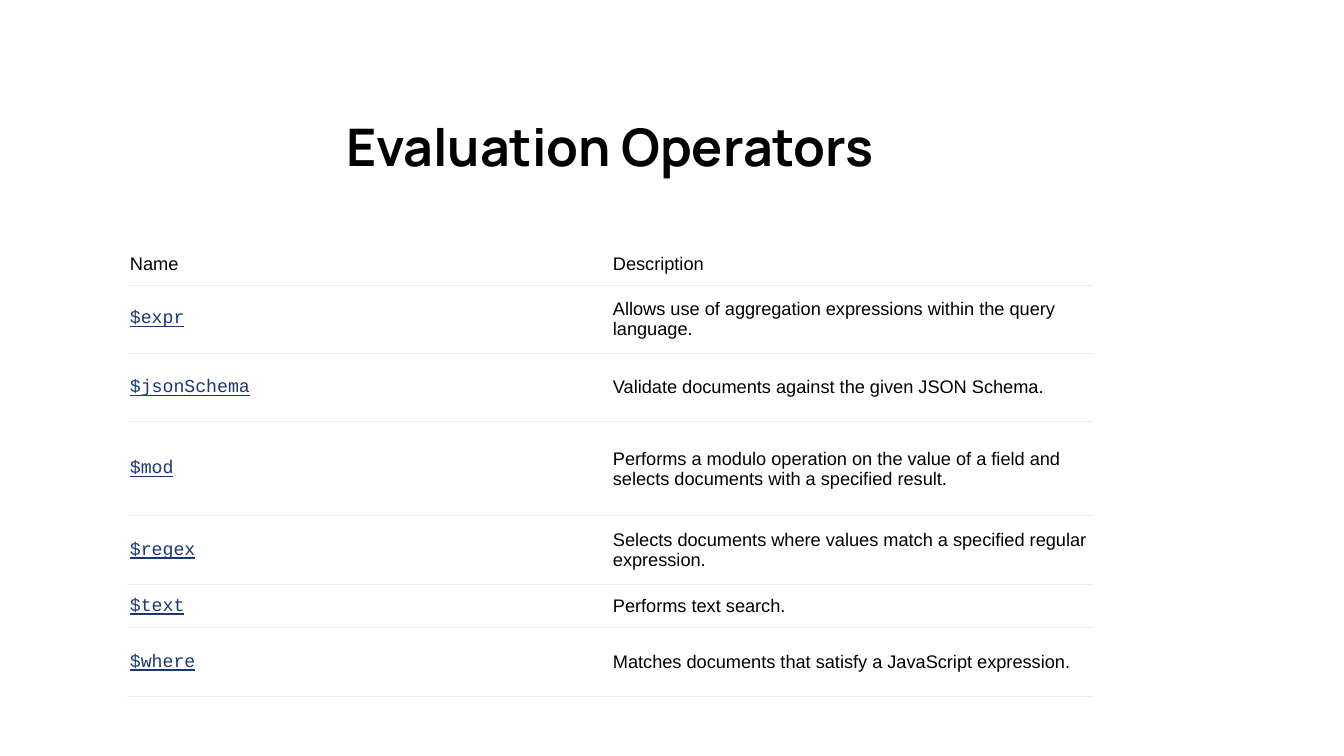
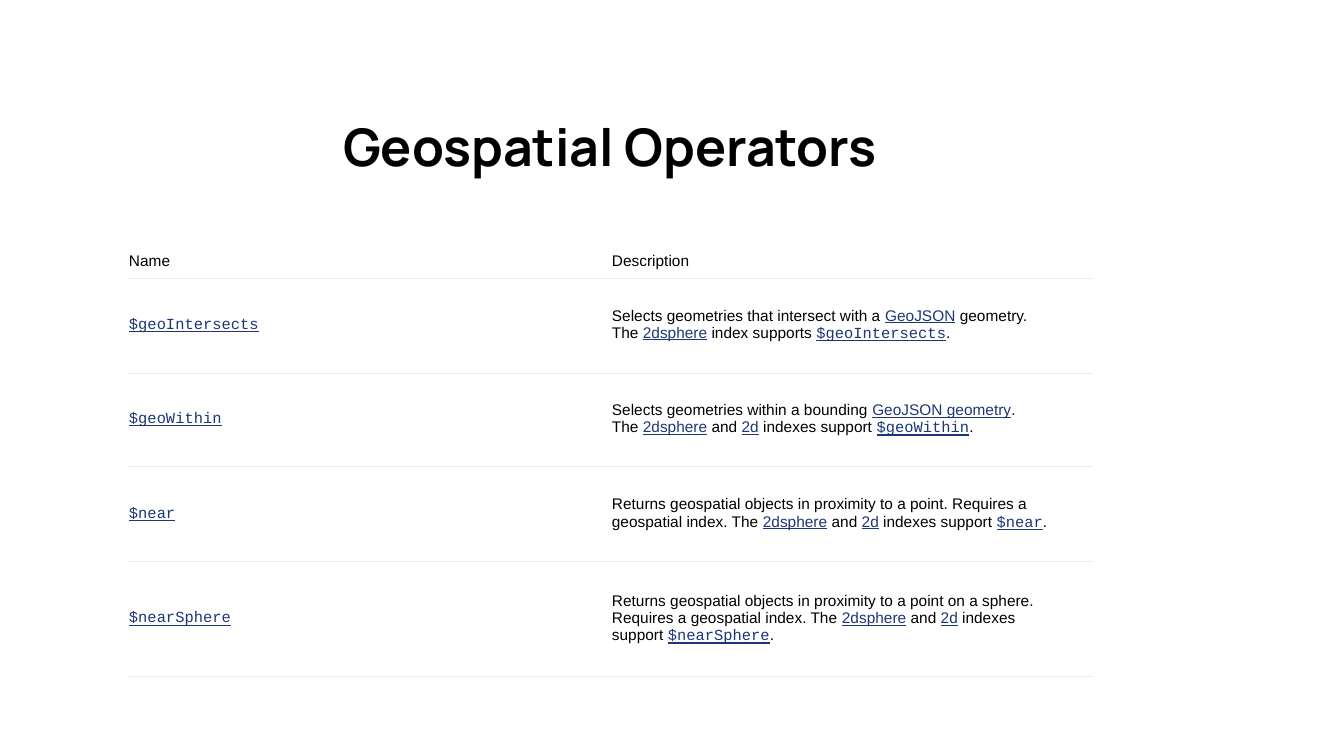
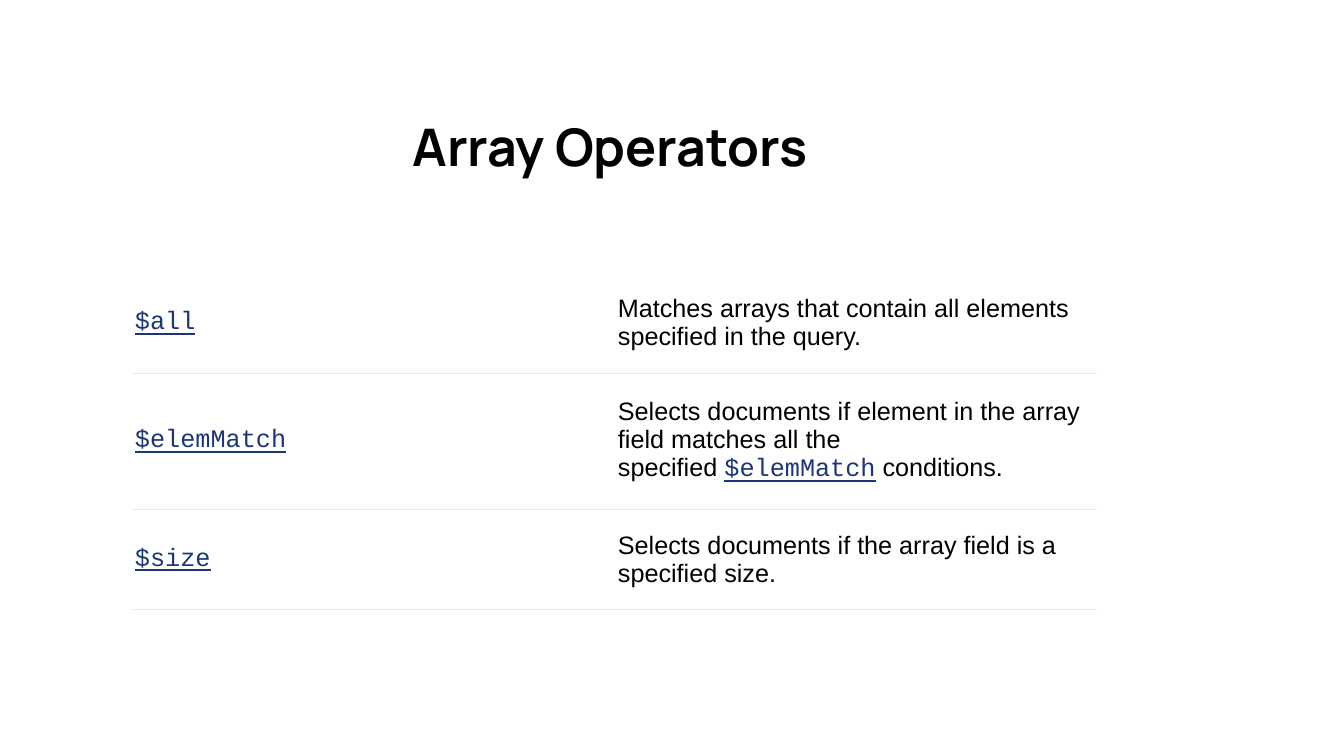
from pptx import Presentation
from pptx.util import Pt
from pptx.dml.color import RGBColor
from pptx.enum.text import MSO_ANCHOR, PP_ALIGN
from pptx.oxml.ns import qn
from lxml.etree import SubElement

# Shared style, lengths in px
PX = 914400 / 100.8
SLIDE_W, SLIDE_H = 1344, 756
TITLE_BOX = (127, 107, 966, 78)
COL_W = 483
BLACK, WHITE, LINK, RULE = "000000", "FFFFFF", "1C3678", "EBEBED"
TITLE_FONT, BODY_FONT, CODE_FONT = "Manrope", "Arial", "Courier New"
NBSP = chr(160)

# Content: links stand in square brackets; pad is side, top, bottom
HEADER = ("Name", "Description")
SLIDES = [
    {
        "title": "Evaluation Operators",
        "at": (127, 246), "size": 13, "pad": (3, 7, 7), "header_top": 4,
        "heights": [39, 68, 69, 94, 69, 43, 69],
        "rows": [
            HEADER,
            ("[$expr]", "Allows use of aggregation expressions within the query language."),
            ("[$jsonSchema]", "Validate documents against the given JSON Schema."),
            ("[$mod]", "Performs a modulo operation on the value of a field and "
                       "selects documents with a specified result."),
            ("[$regex]", "Selects documents where values match a specified regular expression."),
            ("[$text]", "Performs text search."),
            ("[$where]", "Matches documents that satisfy a JavaScript expression."),
        ],
    },
    {
        "title": "Geospatial Operators",
        "at": (127, 247), "size": 11, "pad": (2, 5, 6), "header_top": 3,
        "heights": [31, 95, 94, 95, 115],
        "rows": [
            HEADER,
            ("[$geoIntersects]", "Selects geometries that intersect with a [GeoJSON] geometry. "
                                 "The [2dsphere] index supports [$geoIntersects]."),
            ("[$geoWithin]", "Selects geometries within a bounding [GeoJSON geometry]. "
                             "The [2dsphere] and [2d] indexes support [$geoWithin]."),
            ("[$near]", "Returns geospatial objects in proximity to a point. Requires a "
                        "geospatial index. The [2dsphere] and [2d] indexes support [$near]."),
            ("[$nearSphere]", "Returns geospatial objects in proximity to a point on a sphere. "
                              "Requires a geospatial index. The [2dsphere] and [2d] indexes "
                              "support [$nearSphere]."),
        ],
    },
    {
        "title": "Array Operators",
        "at": (131, 274), "size": 18, "pad": (4, 9, 10), "header_top": 9,
        "heights": [99, 137, 100],
        "rows": [
            ("[$all]", "Matches arrays that contain all elements specified in the query."),
            ("[$elemMatch]", "Selects documents if element in the array field matches all "
                             "the specified [$elemMatch] conditions."),
            ("[$size]", "Selects documents if the array field is a specified size."),
        ],
    },
]


def px(n):
    return round(n * PX)


def rgb(color):
    return RGBColor.from_string(color)


def style(r, font, size, color):
    r.font.name, r.font.size = font, Pt(size)
    r.font.color.rgb = rgb(color)


def add_title(s, text):
    tf = s.shapes.add_textbox(*map(px, TITLE_BOX)).text_frame
    tf.word_wrap = True
    tf.vertical_anchor = MSO_ANCHOR.MIDDLE
    p = tf.paragraphs[0]
    p.text, p.alignment = text, PP_ALIGN.CENTER
    style(p.runs[0], TITLE_FONT, 37, BLACK)
    p.runs[0].font.bold = True


def set_borders(cell, has_top):
    tc_pr = cell._tc.get_or_add_tcPr()
    for side, shown in (("L", False), ("R", False), ("T", has_top), ("B", True)):
        ln = SubElement(tc_pr, qn(f"a:ln{side}"), w=str(Pt(0.75)))
        if shown:
            fill = SubElement(ln, qn("a:solidFill"))
            SubElement(fill, qn("a:srgbClr"), val=RULE)
        else:
            SubElement(ln, qn("a:noFill"))


def write_cell(cell, text, size):
    # Spaces beside a link do not break
    text = text.replace(" [", NBSP + "[").replace("] ", "]" + NBSP)
    p = cell.text_frame.paragraphs[0]
    for i, part in enumerate(text.replace("]", "[").split("[")):
        if not part:
            continue
        is_link = i % 2 == 1
        r = p.add_run()
        r.text = part
        font = CODE_FONT if part.startswith("$") else BODY_FONT
        style(r, font, size, LINK if is_link else BLACK)
        r.font.underline = is_link


def add_operator_table(s, data):
    rows, heights = data["rows"], data["heights"]
    side, top, bottom = data["pad"]
    left, y = data["at"]
    table = s.shapes.add_table(len(rows), 2, px(left), px(y),
                               px(2 * COL_W), px(sum(heights))).table
    table.first_row = table.horz_banding = False
    for col in table.columns:
        col.width = px(COL_W)
    for i, (row, height) in enumerate(zip(rows, heights)):
        table.rows[i].height = px(height)
        for j, text in enumerate(row):
            cell = table.cell(i, j)
            cell.margin_left = cell.margin_right = px(side)
            cell.margin_top = px(top if i else data["header_top"])
            cell.margin_bottom = px(bottom)
            cell.vertical_anchor = MSO_ANCHOR.MIDDLE
            set_borders(cell, has_top=i > 0)
            cell.fill.solid()
            cell.fill.fore_color.rgb = rgb(WHITE)
            write_cell(cell, text, data["size"])


def main():
    prs = Presentation()
    prs.slide_width, prs.slide_height = px(SLIDE_W), px(SLIDE_H)
    for data in SLIDES:
        s = prs.slides.add_slide(prs.slide_layouts[6])
        add_title(s, data["title"])
        add_operator_table(s, data)
    prs.save("out.pptx")


if __name__ == "__main__":
    main()
